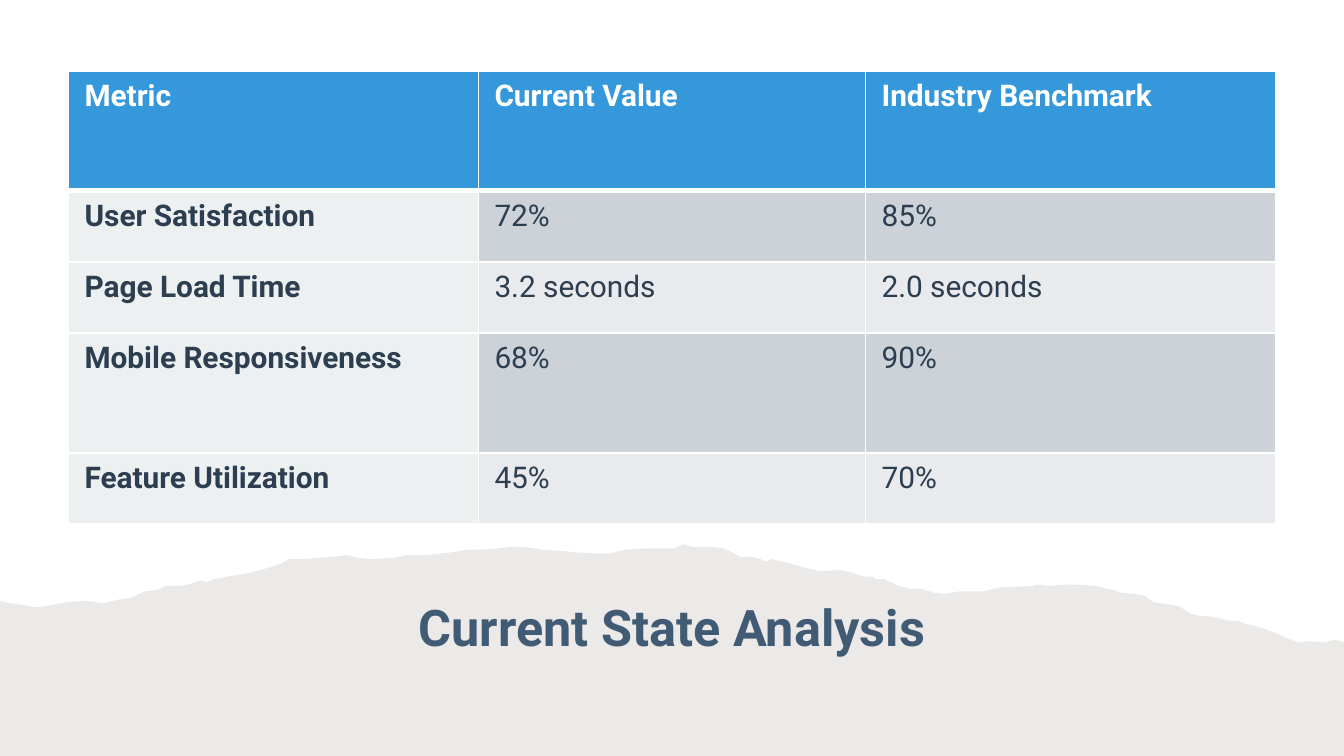
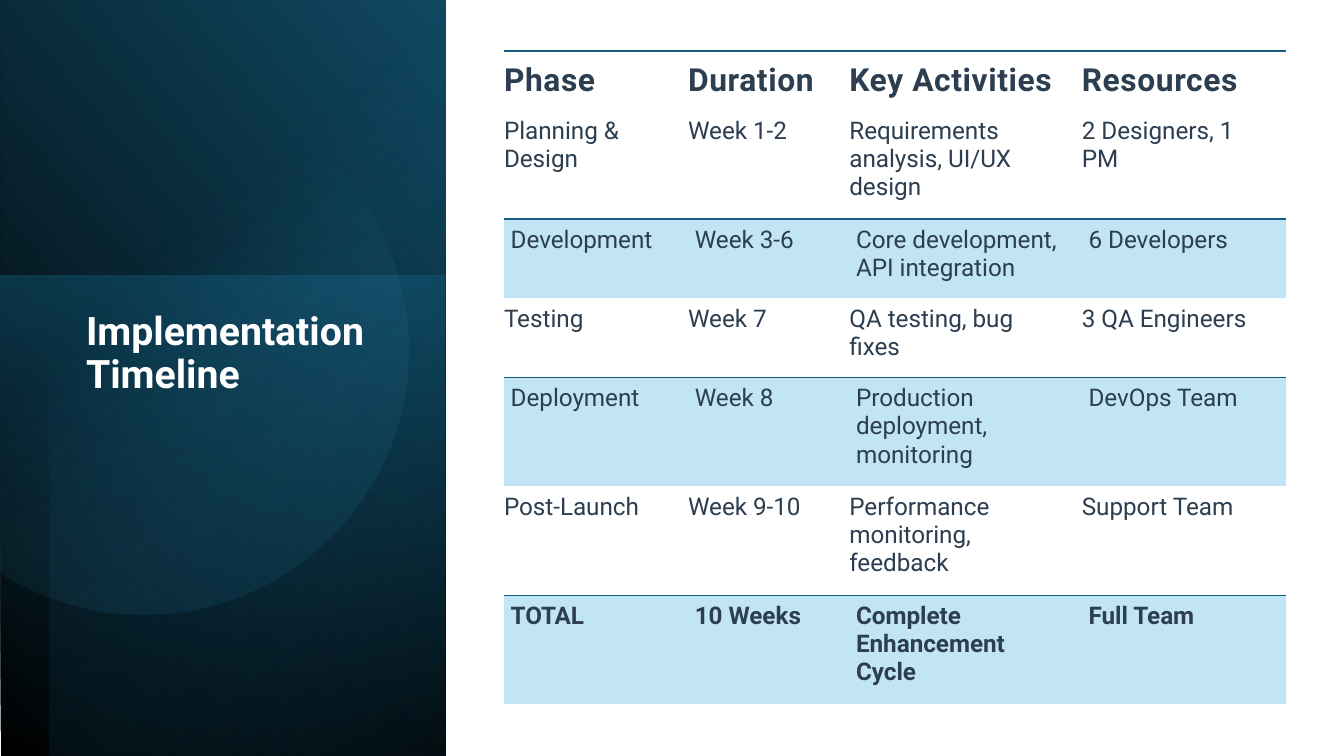
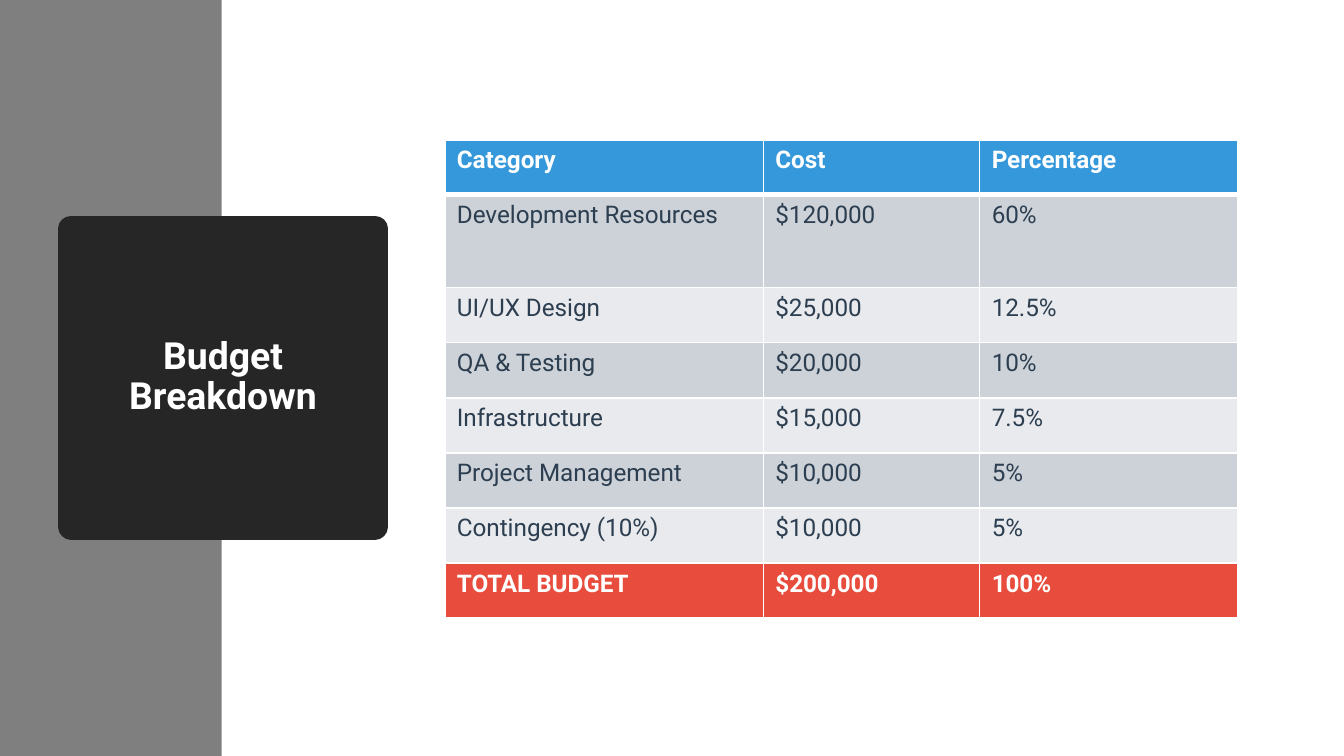
import math
from dataclasses import dataclass
from typing import Optional

from pptx import Presentation
from pptx.dml.color import RGBColor
from pptx.enum import shapes, text
from pptx.oxml import parse_xml
from pptx.oxml.ns import nsdecls, qn
from pptx.util import Inches, Pt

FONT = "Roboto"
WHITE = RGBColor(0xFF, 0xFF, 0xFF)
BLACK = RGBColor(0x00, 0x00, 0x00)
INK = RGBColor(0x2C, 0x3E, 0x50)
SLATE = RGBColor(0x41, 0x5B, 0x75)
BLUE = RGBColor(0x34, 0x98, 0xDB)
RED = RGBColor(0xE7, 0x4C, 0x3C)
BAND_DARK = RGBColor(0xCC, 0xD2, 0xD8)
BAND_LIGHT = RGBColor(0xE8, 0xEA, 0xED)
LABEL_GRAY = RGBColor(0xEC, 0xF0, 0xF1)
SKY = RGBColor(0xC1, 0xE5, 0xF5)
TEAL = RGBColor(0x15, 0x60, 0x82)
DEEP_TEAL = RGBColor(0x10, 0x48, 0x62)
DARK_TEAL = RGBColor(0x0B, 0x30, 0x41)
BRIGHT_BLUE = RGBColor(0x46, 0xB1, 0xE1)
TAUPE = RGBColor(0x82, 0x76, 0x6A)
GRAY = RGBColor(0x7F, 0x7F, 0x7F)
CHARCOAL = RGBColor(0x26, 0x26, 0x26)

WIDTH = 10
HEIGHT = WIDTH * 9 / 16
NO_TABLE_STYLE = "{2D5ABB26-0587-4C30-8999-92F81FD0307C}"

# Outline of the torn paper edge, left to right
RIDGE = [
    (0, 4.47), (0.08, 4.49), (0.16, 4.5), (0.28, 4.52), (0.39, 4.5), (0.51, 4.48),
    (0.65, 4.47), (0.76, 4.49), (0.89, 4.46), (0.97, 4.45), (1.08, 4.4), (1.17, 4.39),
    (1.23, 4.36), (1.34, 4.36), (1.4, 4.35), (1.49, 4.32), (1.54, 4.33), (1.59, 4.31),
    (1.64, 4.3), (1.82, 4.27), (1.98, 4.23), (2.1, 4.19), (2.15, 4.16), (2.26, 4.16),
    (2.37, 4.15), (2.5, 4.14), (2.58, 4.13), (2.65, 4.15), (2.77, 4.16), (2.94, 4.15),
    (3.03, 4.13), (3.17, 4.13), (3.36, 4.11), (3.48, 4.09), (3.58, 4.09), (3.72, 4.08),
    (3.79, 4.07), (3.9, 4.07), (3.98, 4.08), (4.03, 4.09), (4.18, 4.1), (4.29, 4.11),
    (4.42, 4.12), (4.53, 4.12), (4.66, 4.09), (4.8, 4.08), (5.02, 4.08), (5.08, 4.05),
    (5.16, 4.07), (5.3, 4.07), (5.38, 4.08), (5.43, 4.1), (5.52, 4.15), (5.58, 4.14),
    (5.66, 4.16), (5.7, 4.18), (5.74, 4.16), (5.87, 4.19), (6.01, 4.23), (6.1, 4.25),
    (6.24, 4.24), (6.34, 4.26), (6.42, 4.29), (6.49, 4.29), (6.52, 4.31), (6.58, 4.31),
    (6.69, 4.36), (6.77, 4.38), (6.85, 4.38), (6.95, 4.41), (7.03, 4.42), (7.14, 4.4),
    (7.24, 4.4), (7.32, 4.4), (7.45, 4.37), (7.69, 4.36), (7.71, 4.35), (7.81, 4.36),
    (7.91, 4.35), (8, 4.35), (8.16, 4.36), (8.23, 4.38), (8.29, 4.39), (8.34, 4.41),
    (8.44, 4.42), (8.51, 4.43), (8.58, 4.48), (8.77, 4.51), (8.85, 4.56), (8.91, 4.58),
    (9.03, 4.59), (9.15, 4.62), (9.21, 4.62), (9.26, 4.64), (9.38, 4.67), (9.52, 4.72),
    (9.58, 4.75), (9.66, 4.78), (9.74, 4.77), (9.86, 4.78), (9.93, 4.76), (10, 4.78),
]


@dataclass(frozen=True)
class Stop:
    percent: int
    color: RGBColor
    opacity: int = 100


@dataclass(frozen=True)
class Panel:
    box: tuple
    rotation: int
    flipped: bool
    stops: tuple
    angle: int


@dataclass(frozen=True)
class Border:
    side: str  # L, R, T or B
    color: Optional[RGBColor] = None
    points: float = 0


@dataclass(frozen=True)
class RowStyle:
    fill: Optional[RGBColor]
    color: RGBColor = INK
    bold: bool = False
    size: float = 13
    tracking: float = 0
    margins: tuple = (0.09, 0.05, 0.09, 0.05)
    anchor: text.MSO_ANCHOR = text.MSO_ANCHOR.TOP
    borders: tuple = ()  # in the order L, R, T, B
    label_fill: Optional[RGBColor] = None  # a bold first column when set


@dataclass(frozen=True)
class Row:
    height: float
    style: RowStyle
    texts: tuple


def write(frame, content: str, *, size: float, color: RGBColor, bold: bool = False,
          align=None, line_spacing: Optional[float] = None, tracking: float = 0) -> None:
    frame.word_wrap = True
    paragraph = frame.paragraphs[0]
    paragraph.alignment = align
    paragraph.line_spacing = line_spacing
    run = paragraph.add_run()
    run.text = content
    run.font.name = FONT
    run.font.size = Pt(size)
    run.font.bold = bold
    run.font.color.rgb = color
    if tracking:
        run.font._element.set("spc", str(round(tracking * 100)))


def add_title(slide, content: str, box: tuple, *, size: float, color: RGBColor,
              anchor, align):
    """Fill the title placeholder and bring it in front of the backdrop."""
    title = slide.shapes.title
    title.left, title.top, title.width, title.height = map(Inches, box)
    slide.shapes._spTree.append(title._element)
    frame = title.text_frame
    frame.auto_size = text.MSO_AUTO_SIZE.NONE
    frame.vertical_anchor = anchor
    write(frame, content, size=size, color=color, bold=True, align=align, line_spacing=0.9)
    return title


def set_border(cell, border: Border) -> None:
    paint = "<a:noFill/>"
    if border.color is not None:
        paint = f'<a:solidFill><a:srgbClr val="{border.color}"/></a:solidFill>'
    tag = f"a:ln{border.side}"
    line = parse_xml(
        f'<{tag} {nsdecls("a")} w="{Pt(border.points)}">{paint}</{tag}>')
    cell._tc.get_or_add_tcPr().insert(0, line)


def format_cell(cell, content: str, style: RowStyle, is_label: bool) -> None:
    cell.margin_left, cell.margin_top, cell.margin_right, cell.margin_bottom = map(
        Inches, style.margins)
    cell.vertical_anchor = style.anchor
    fill = style.label_fill if is_label else style.fill
    if fill is None:
        cell.fill.background()
    else:
        cell.fill.solid()
        cell.fill.fore_color.rgb = fill
    for border in reversed(style.borders):
        set_border(cell, border)
    write(cell.text_frame, content, size=style.size, color=style.color,
          bold=style.bold or is_label, tracking=style.tracking)


def add_table(slide, left: float, top: float, widths: tuple, rows: list,
              gridded: bool = True) -> None:
    height = sum(row.height for row in rows)
    table = slide.shapes.add_table(len(rows), len(widths), Inches(left), Inches(top),
                                   Inches(sum(widths)), Inches(height)).table
    table.first_row = table.horz_banding = False
    if not gridded:
        table._tbl.tblPr.find(qn("a:tableStyleId")).text = NO_TABLE_STYLE
    for column, width in zip(table.columns, widths):
        column.width = Inches(width)
    for row_index, row in enumerate(rows):
        table.rows[row_index].height = Inches(row.height)
        for column_index, content in enumerate(row.texts):
            is_label = column_index == 0 and row.style.label_fill is not None
            format_cell(table.cell(row_index, column_index), content, row.style, is_label)


def set_plain(shape, color: RGBColor) -> None:
    shape.shadow.inherit = False
    shape.fill.solid()
    shape.fill.fore_color.rgb = color
    shape.line.fill.background()


def set_opacity(shape, percent: int) -> None:
    color = shape._element.spPr.find(qn("a:solidFill"))[0]
    color.append(parse_xml(f'<a:alpha {nsdecls("a")} val="{percent * 1000}"/>'))


def set_gradient(shape, stops: tuple, angle: int) -> None:
    """Fill with a linear gradient; the angle runs clockwise from the right."""
    set_plain(shape, WHITE)
    stop_xml = "".join(
        f'<a:gs pos="{stop.percent * 1000}"><a:srgbClr val="{stop.color}">'
        f'<a:alpha val="{stop.opacity * 1000}"/></a:srgbClr></a:gs>' for stop in stops)
    gradient = parse_xml(
        f'<a:gradFill {nsdecls("a")} rotWithShape="1"><a:gsLst>{stop_xml}</a:gsLst>'
        f'<a:lin ang="{angle * 60000}" scaled="0"/></a:gradFill>')
    properties = shape._element.spPr
    properties.replace(properties.find(qn("a:solidFill")), gradient)


def add_rectangle(slide, box: tuple):
    return slide.shapes.add_shape(shapes.MSO_SHAPE.RECTANGLE, *map(Inches, box))


def add_outline(slide, points: list):
    corners = [(Inches(x), Inches(y)) for x, y in points]
    builder = slide.shapes.build_freeform(*corners[0], scale=1.0)
    builder.add_line_segments(corners[1:], close=True)
    return builder.convert_to_shape()


def add_panel(slide, panel: Panel) -> None:
    shape = add_rectangle(slide, panel.box)
    shape.rotation = panel.rotation
    if panel.flipped:
        shape._element.spPr.find(qn("a:xfrm")).set("flipH", "1")
    set_gradient(shape, panel.stops, panel.angle)


def new_slide(presentation):
    return presentation.slides.add_slide(presentation.slide_layouts[5])


def build_current_state(presentation) -> None:
    slide = new_slide(presentation)
    paper = add_outline(slide, RIDGE + [(WIDTH, HEIGHT), (0, HEIGHT)])
    set_plain(paper, TAUPE)
    set_opacity(paper, 15)
    add_title(slide, "Current State Analysis", (1.03, 4.33, 7.94, 0.61), size=27,
              color=SLATE, anchor=text.MSO_ANCHOR.BOTTOM, align=text.PP_ALIGN.CENTER)

    margins = (0.12, 0.06, 0.12, 0.06)
    header = RowStyle(BLUE, WHITE, True, 16, margins=margins,
                      borders=(Border("B", WHITE, 3),))
    dark, light = (RowStyle(fill, size=16, margins=margins, label_fill=LABEL_GRAY)
                   for fill in (BAND_DARK, BAND_LIGHT))
    add_table(slide, 0.51, 0.53, (3.05, 2.88, 3.05), [
        Row(0.89, header, ("Metric", "Current Value", "Industry Benchmark")),
        Row(0.53, dark, ("User Satisfaction", "72%", "85%")),
        Row(0.53, light, ("Page Load Time", "3.2 seconds", "2.0 seconds")),
        Row(0.89, dark, ("Mobile Responsiveness", "68%", "90%")),
        Row(0.53, light, ("Feature Utilization", "45%", "70%")),
    ])


def build_timeline(presentation) -> None:
    slide = new_slide(presentation)
    for panel in (
        Panel((-1.16, 1.16, 5.64, 3.31), 90, True,
              (Stop(0, BLACK), Stop(100, DEEP_TEAL)), 310),
        Panel((-0.13, 2.18, 3.57, 3.31), 270, False,
              (Stop(0, TEAL, 50), Stop(100, DARK_TEAL, 0)), 190),
        Panel((-0.97, 1.34, HEIGHT, 2.94), 270, True,
              (Stop(0, BLACK, 59), Stop(69, TEAL, 0)), 220),
    ):
        add_panel(slide, panel)

    # Circle cut off by the left edge of the slide
    center_x, center_y, radius, steps = 1.07, 2.6, 1.97, 90
    limit = math.acos(-center_x / radius)
    angles = [limit * (2 * step / steps - 1) for step in range(steps + 1)]
    disc = add_outline(slide, [(center_x + radius * math.cos(angle),
                                center_y + radius * math.sin(angle)) for angle in angles])
    set_gradient(disc, (Stop(39, BRIGHT_BLUE, 0), Stop(100, DEEP_TEAL, 26)), 52)

    add_title(slide, "Implementation Timeline", (0.54, 2.27, 2.36, 2.52), size=21,
              color=WHITE, anchor=text.MSO_ANCHOR.TOP, align=text.PP_ALIGN.LEFT)

    header = RowStyle(None, bold=True, size=17, tracking=0.3, margins=(0, 0.05, 0.01, 0.05),
                      anchor=text.MSO_ANCHOR.MIDDLE,
                      borders=(Border("T", TEAL, 1.5), Border("B")))
    plain = RowStyle(None, margins=(0, 0.05, 0.11, 0.05),
                     borders=(Border("T"), Border("B", TEAL, 0.75)))
    shaded, total = (RowStyle(SKY, bold=bold, margins=(0.05, 0.05, 0.11, 0.05),
                              borders=(Border("T", TEAL, 0.75), Border("B")))
                     for bold in (False, True))
    add_table(slide, 3.75, 0.38, (1.37, 1.2, 1.73, 1.52), [
        Row(0.44, header, ("Phase", "Duration", "Key Activities", "Resources")),
        Row(0.81, plain, ("Planning & Design", "Week 1-2",
                          "Requirements analysis, UI/UX design", "2 Designers, 1 PM")),
        Row(0.59, shaded, ("Development", "Week 3-6",
                           "Core development, API integration", "6 Developers")),
        Row(0.59, plain, ("Testing", "Week 7", "QA testing, bug fixes", "3 QA Engineers")),
        Row(0.81, shaded, ("Deployment", "Week 8",
                           "Production deployment, monitoring", "DevOps Team")),
        Row(0.81, plain, ("Post-Launch", "Week 9-10",
                          "Performance monitoring, feedback", "Support Team")),
        Row(0.81, total, ("TOTAL", "10 Weeks", "Complete Enhancement Cycle", "Full Team")),
    ], gridded=False)


def build_budget(presentation) -> None:
    slide = new_slide(presentation)
    set_plain(add_rectangle(slide, (0, 0, 1.65, HEIGHT)), GRAY)
    title = add_title(slide, "Budget Breakdown", (0.53, 1.7, 2.26, 2.22), size=20,
                      color=WHITE, anchor=text.MSO_ANCHOR.MIDDLE,
                      align=text.PP_ALIGN.CENTER)
    title.fill.solid()
    title.fill.fore_color.rgb = CHARCOAL
    title.line.color.rgb = CHARCOAL
    title.line.width = Pt(13.75)

    header = RowStyle(BLUE, WHITE, True, borders=(Border("B", WHITE, 3),))
    dark, light = RowStyle(BAND_DARK), RowStyle(BAND_LIGHT)
    total = RowStyle(RED, WHITE, True)
    add_table(slide, 3.31, 1.04, (2.37, 1.61, 1.92), [
        Row(0.41, header, ("Category", "Cost", "Percentage")),
        Row(0.69, dark, ("Development Resources", "$120,000", "60%")),
        Row(0.41, light, ("UI/UX Design", "$25,000", "12.5%")),
        Row(0.41, dark, ("QA & Testing", "$20,000", "10%")),
        Row(0.41, light, ("Infrastructure", "$15,000", "7.5%")),
        Row(0.41, dark, ("Project Management", "$10,000", "5%")),
        Row(0.41, light, ("Contingency (10%)", "$10,000", "5%")),
        Row(0.41, total, ("TOTAL BUDGET", "$200,000", "100%")),
    ])


def main() -> None:
    presentation = Presentation()
    presentation.slide_width = Inches(WIDTH)
    presentation.slide_height = Inches(HEIGHT)
    build_current_state(presentation)
    build_timeline(presentation)
    build_budget(presentation)
    presentation.save("out.pptx")


if __name__ == "__main__":
    main()
